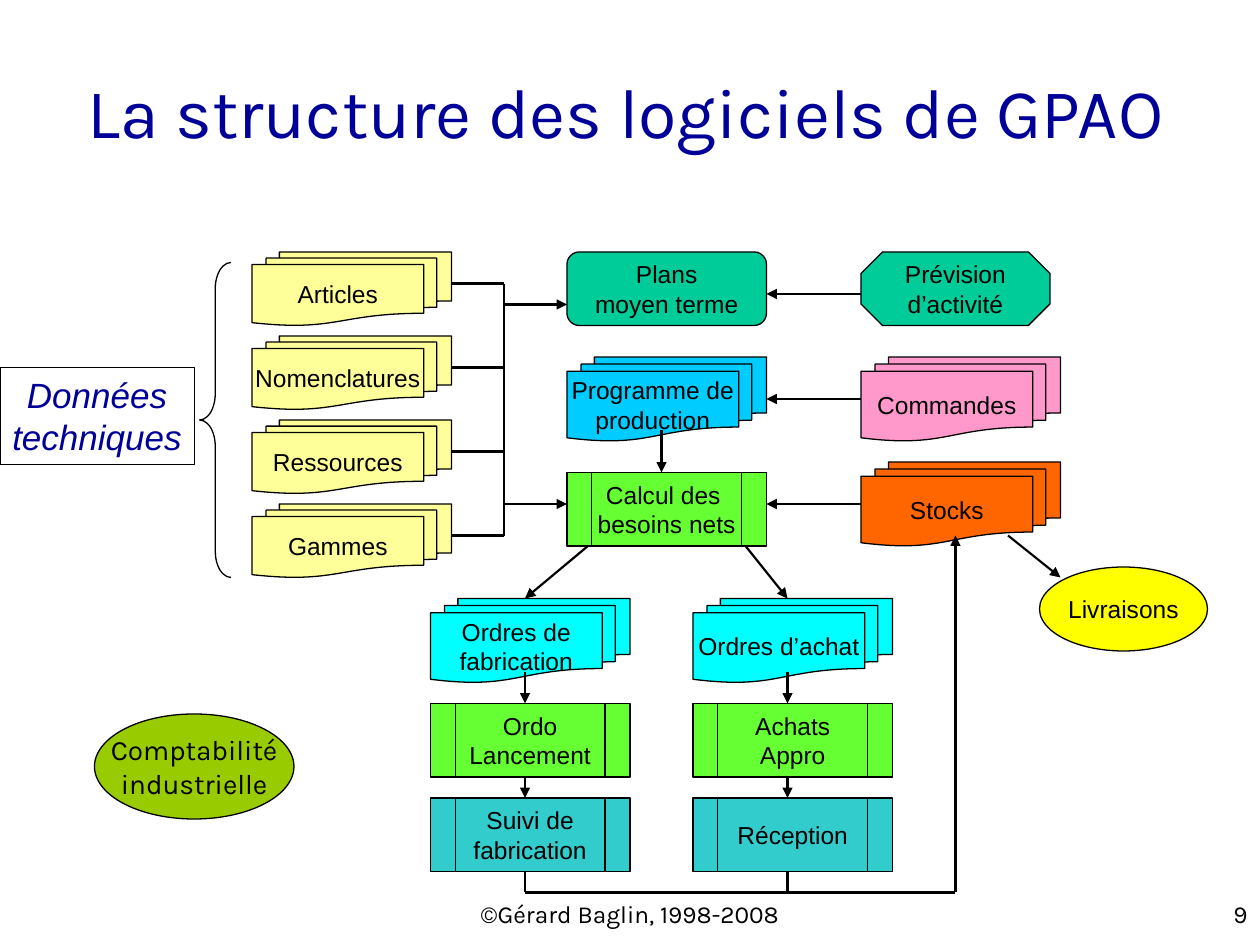
from typing import NamedTuple, Optional

from lxml import etree
from pptx import Presentation
from pptx.dml.color import RGBColor
from pptx.enum.shapes import MSO_CONNECTOR, MSO_SHAPE
from pptx.enum.text import MSO_ANCHOR, PP_ALIGN
from pptx.oxml.ns import qn
from pptx.util import Pt

STRAIGHT = MSO_CONNECTOR.STRAIGHT
DOCUMENTS = MSO_SHAPE.FLOWCHART_MULTIDOCUMENT
PROCESS = MSO_SHAPE.FLOWCHART_PREDEFINED_PROCESS
PLAN = MSO_SHAPE.FLOWCHART_ALTERNATE_PROCESS
OCTAGON = MSO_SHAPE.OCTAGON
ELLIPSE = MSO_SHAPE.OVAL
RECTANGLE = MSO_SHAPE.RECTANGLE
BRACE = MSO_SHAPE.LEFT_BRACE
CENTER, RIGHT = PP_ALIGN.CENTER, PP_ALIGN.RIGHT
TOP, MIDDLE = MSO_ANCHOR.TOP, MSO_ANCHOR.MIDDLE

BLACK = RGBColor(0x00, 0x00, 0x00)
NAVY = RGBColor(0x00, 0x00, 0x99)
PALE_YELLOW = RGBColor(0xFF, 0xFF, 0x99)
YELLOW = RGBColor(0xFF, 0xFF, 0x00)
EMERALD = RGBColor(0x00, 0xCC, 0x99)
SKY = RGBColor(0x00, 0xCC, 0xFF)
CYAN = RGBColor(0x00, 0xFF, 0xFF)
TEAL = RGBColor(0x33, 0xCC, 0xCC)
LIME = RGBColor(0x66, 0xFF, 0x33)
OLIVE = RGBColor(0x99, 0xCC, 0x00)
ORANGE = RGBColor(0xFF, 0x66, 0x00)
PINK = RGBColor(0xFF, 0x99, 0xCC)

BODY_FONT, TITLE_FONT = "Arial", "Karla"

# Grid, in points
NODE_W, NODE_H, TALL_H = 114, 42, 48
DATA_X, CENTRAL_X, DEMAND_X = 144, 324, 492
MAKE_X, BUY_X = 246, 396
TOP_Y, PROGRAM_Y, NEEDS_Y = 144, 204, 270
ORDERS_Y, LAUNCH_Y, FOLLOW_Y = 342, 402, 456
DATA_STEP = 48
BUS_X = 288
RETURN_X, RETURN_Y = 546, 510
FLOW_OFFSET = 54  # arrows leave a branch this far from its left edge
BUS_WIDTH, FLOW_WIDTH, OUTLINE_WIDTH = 1.5, 1.25, 0.75


class Node(NamedTuple):
    text: str
    kind: MSO_SHAPE
    x: float
    y: float
    fill: Optional[RGBColor]
    width: float = NODE_W
    height: float = NODE_H


class Flow(NamedTuple):
    x1: float
    y1: float
    x2: float
    y2: float
    width: float = FLOW_WIDTH
    arrow: bool = True


DATA_FILES = ["Articles", "Nomenclatures", "Ressources", "Gammes"]
DATA_NODES = [
    Node(name, DOCUMENTS, DATA_X, TOP_Y + i * DATA_STEP, PALE_YELLOW)
    for i, name in enumerate(DATA_FILES)
]
NODES = DATA_NODES + [
    Node("Plans\nmoyen terme", PLAN, CENTRAL_X, TOP_Y, EMERALD),
    Node("Prévision\nd’activité", OCTAGON, DEMAND_X, TOP_Y, EMERALD, 108),
    Node("Programme de\nproduction", DOCUMENTS, CENTRAL_X, PROGRAM_Y, SKY, height=TALL_H),
    Node("Commandes", DOCUMENTS, DEMAND_X, PROGRAM_Y, PINK, height=TALL_H),
    Node("Calcul des \nbesoins nets", PROCESS, CENTRAL_X, NEEDS_Y, LIME),
    Node("Stocks", DOCUMENTS, DEMAND_X, 264, ORANGE, height=TALL_H),
    Node("Ordres de\nfabrication", DOCUMENTS, MAKE_X, ORDERS_Y, CYAN, height=TALL_H),
    Node("Ordres d’achat", DOCUMENTS, BUY_X, ORDERS_Y, CYAN, height=TALL_H),
    Node("Ordo\nLancement", PROCESS, MAKE_X, LAUNCH_Y, LIME),
    Node("Achats\nAppro", PROCESS, BUY_X, LAUNCH_Y, LIME),
    Node("Suivi de\nfabrication", PROCESS, MAKE_X, FOLLOW_Y, TEAL),
    Node("Réception", PROCESS, BUY_X, FOLLOW_Y, TEAL),
    Node("Livraisons", ELLIPSE, 594, 324, YELLOW, 96, 48),
]
ACCOUNTING = Node("Comptabilité\nindustrielle", ELLIPSE, 54, 408, OLIVE, NODE_W, 60)
TECHNICAL_DATA = Node("Données\ntechniques", RECTANGLE, 0, 210, None, 111, 55.5)

DATA_LINK_YS = [node.y + 18 for node in DATA_NODES]
CENTRAL_RIGHT = CENTRAL_X + NODE_W
MAKE_FLOW_X, BUY_FLOW_X = MAKE_X + FLOW_OFFSET, BUY_X + FLOW_OFFSET

FLOWS = [
    Flow(BUS_X, DATA_LINK_YS[0], BUS_X, DATA_LINK_YS[-1], BUS_WIDTH, False),
    *[Flow(DATA_X + NODE_W, y, BUS_X, y, BUS_WIDTH, False) for y in DATA_LINK_YS],
    *[Flow(BUS_X, y, CENTRAL_X, y, BUS_WIDTH) for y in (174, 288)],
    *[Flow(DEMAND_X, y, CENTRAL_RIGHT, y) for y in (168, 228, 288)],
    Flow(378, 246, 378, NEEDS_Y),
    Flow(336, NEEDS_Y + NODE_H, MAKE_FLOW_X, ORDERS_Y),
    Flow(426, NEEDS_Y + NODE_H, BUY_FLOW_X, ORDERS_Y),
    Flow(576, 306, 606, 330),
    Flow(MAKE_FLOW_X, RETURN_Y, RETURN_X, RETURN_Y, arrow=False),
    Flow(RETURN_X, RETURN_Y, RETURN_X, 306),
]
for branch_x in (MAKE_FLOW_X, BUY_FLOW_X):
    FLOWS += [
        Flow(branch_x, 384, branch_x, LAUNCH_Y),
        Flow(branch_x, LAUNCH_Y + NODE_H, branch_x, FOLLOW_Y),
        Flow(branch_x, FOLLOW_Y + NODE_H, branch_x, RETURN_Y, arrow=False),
    ]


def write_text(frame, text: str, *, size: float = 14, font: str = BODY_FONT,
               color: RGBColor = BLACK, align: PP_ALIGN = CENTER,
               anchor: MSO_ANCHOR = MIDDLE, italic: bool = False,
               wrap: bool = False, side_margin: float = 7.2) -> None:
    """Fill a text frame with one paragraph per line of text."""
    frame.word_wrap = wrap
    frame.vertical_anchor = anchor
    frame.margin_left = frame.margin_right = Pt(side_margin)
    for i, line in enumerate(text.split("\n")):
        paragraph = frame.paragraphs[0] if i == 0 else frame.add_paragraph()
        paragraph.alignment = align
        run = paragraph.add_run()
        run.text = line
        run.font.size = Pt(size)
        run.font.name = font
        run.font.italic = italic
        run.font.color.rgb = color


def draw_outline(slide, kind: MSO_SHAPE, x: float, y: float, width: float,
                 height: float, fill: Optional[RGBColor] = None):
    shape = slide.shapes.add_shape(kind, Pt(x), Pt(y), Pt(width), Pt(height))
    shape.shadow.inherit = False
    if fill is None:
        shape.fill.background()
    else:
        shape.fill.solid()
        shape.fill.fore_color.rgb = fill
    shape.line.color.rgb = BLACK
    shape.line.width = Pt(OUTLINE_WIDTH)
    return shape


def draw_node(slide, node: Node, **text_format) -> None:
    shape = draw_outline(slide, node.kind, node.x, node.y, node.width, node.height, node.fill)
    write_text(shape.text_frame, node.text, **text_format)


def draw_flow(slide, flow: Flow) -> None:
    connector = slide.shapes.add_connector(
        STRAIGHT, Pt(flow.x1), Pt(flow.y1), Pt(flow.x2), Pt(flow.y2))
    connector.line.color.rgb = BLACK
    connector.line.width = Pt(flow.width)
    properties = connector._element.spPr
    if flow.arrow:
        etree.SubElement(properties.find(qn("a:ln")), qn("a:tailEnd"), type="triangle")
    etree.SubElement(properties, qn("a:effectLst"))


def draw_footer(slide, text: str, x: float, width: float, align: PP_ALIGN) -> None:
    box = slide.shapes.add_textbox(Pt(x), Pt(510), Pt(width), Pt(18))
    write_text(box.text_frame, text, font=TITLE_FONT, align=align, anchor=TOP, wrap=True)


def main() -> None:
    deck = Presentation()
    deck.slide_width, deck.slide_height = Pt(720), Pt(540)
    slide = deck.slides.add_slide(deck.slide_layouts[5])

    title = slide.shapes.title
    title.left, title.top, title.width, title.height = Pt(18), Pt(18), Pt(654), Pt(90)
    write_text(title.text_frame, "La structure des logiciels de GPAO", size=40,
               font=TITLE_FONT, color=NAVY, align=RIGHT, wrap=True)

    for node in NODES:
        draw_node(slide, node)
    draw_node(slide, ACCOUNTING, size=16, font=TITLE_FONT)
    draw_node(slide, TECHNICAL_DATA, size=20, color=NAVY, italic=True, anchor=TOP,
              side_margin=3)
    brace = draw_outline(slide, BRACE, 114, 150, 18, 180)
    brace.adjustments[0] = 0.83

    for flow in FLOWS:
        draw_flow(slide, flow)

    draw_footer(slide, "©Gérard Baglin, 1998-2008", 246, 228, CENTER)
    draw_footer(slide, "9", 570, 150, RIGHT)
    deck.save("out.pptx")


if __name__ == "__main__":
    main()
